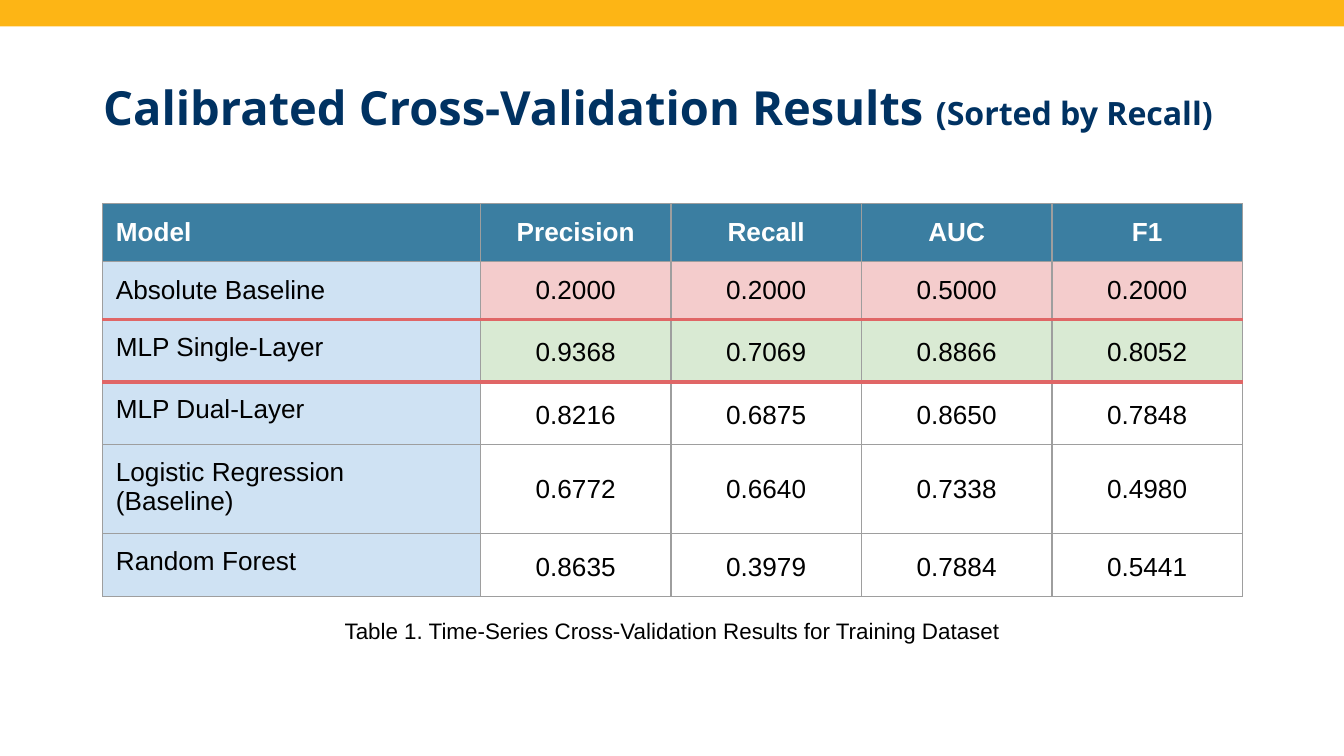
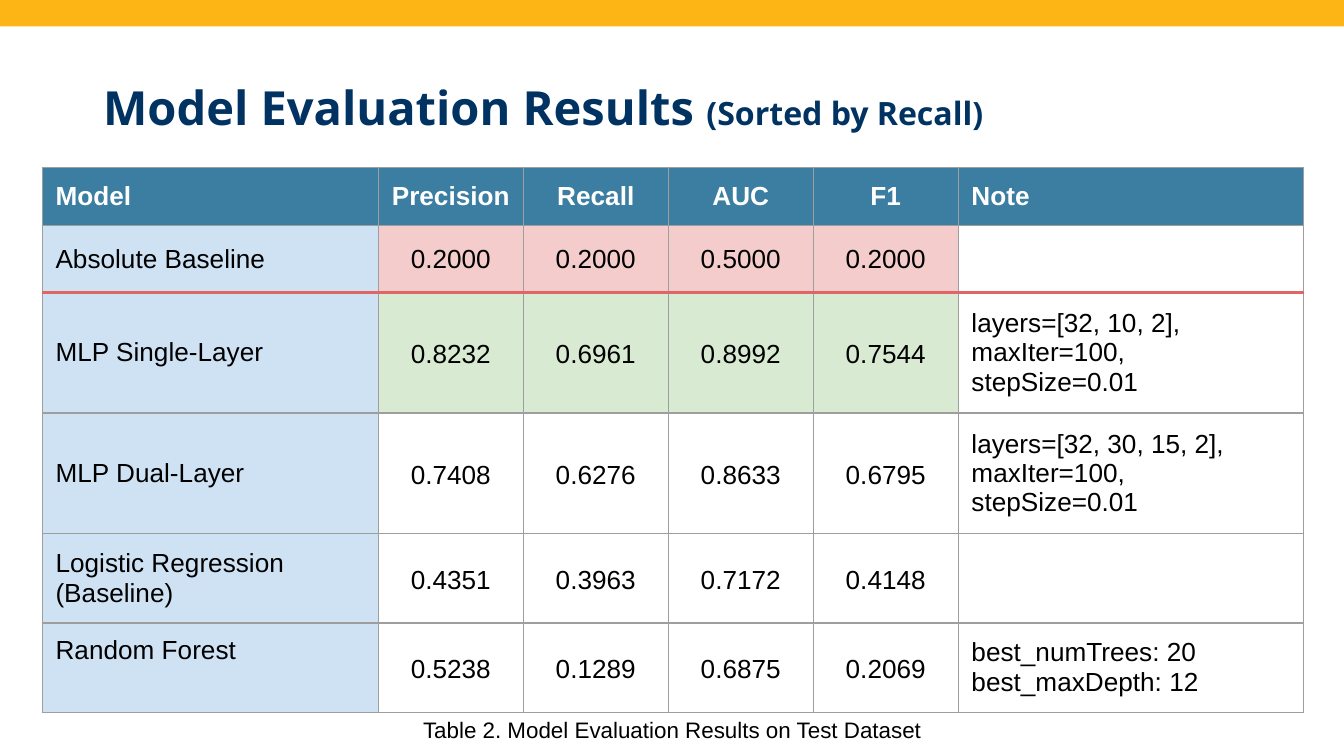
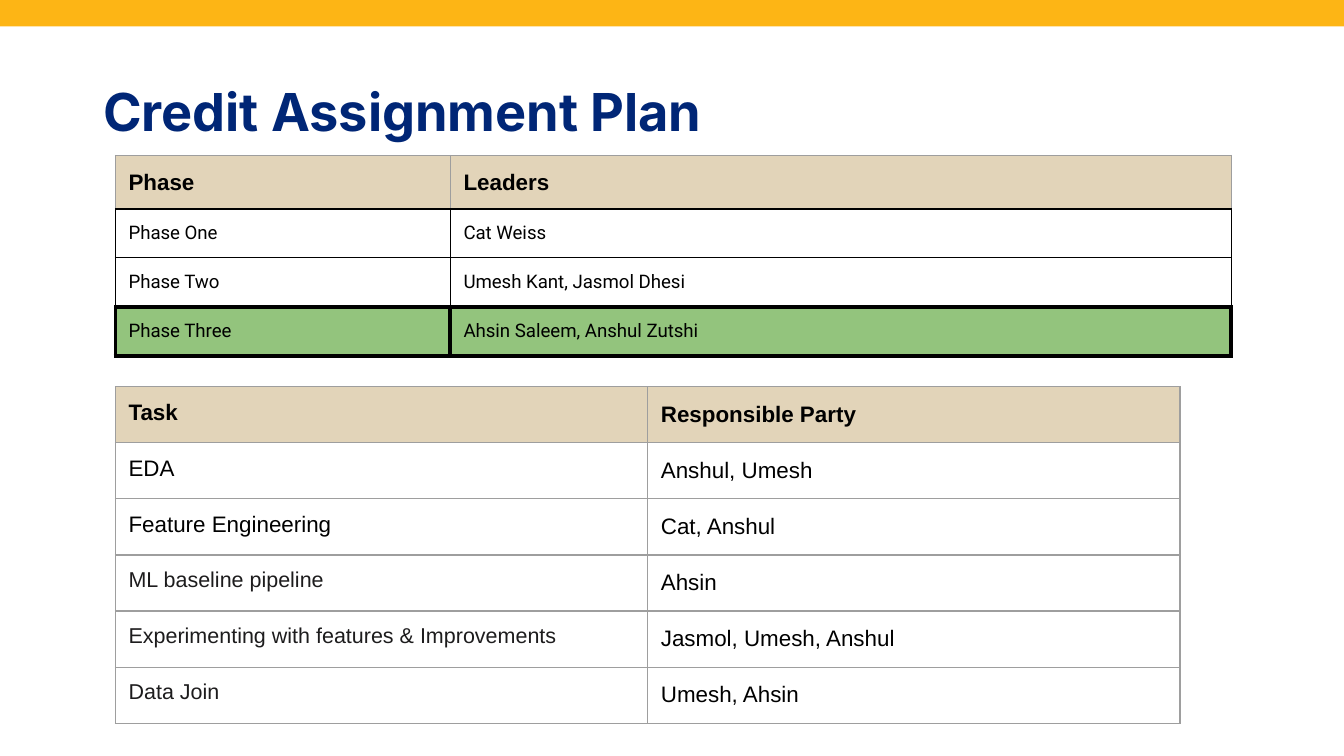
from lxml.etree import SubElement
from pptx import Presentation
from pptx.dml.color import RGBColor
from pptx.enum.shapes import MSO_SHAPE
from pptx.enum.text import MSO_ANCHOR, PP_ALIGN
from pptx.oxml.ns import qn
from pptx.util import Cm, Pt


def hue(code):
    return RGBColor.from_string(code)


def say(para, text, face, size, ink, bold=False):
    run = para.add_run()
    run.text = text
    font = run.font
    font.name, font.size, font.bold = face, Pt(size), bold
    font.color.rgb = hue(ink)


BLACK, WHITE, GOLD = "000000", "FFFFFF", "FDB515"
NAVY, ROYAL = "003262", "002676"
STEEL, PALE, PINK, MINT = "3B7EA1", "CFE2F3", "F4CCCC", "D9EAD3"
SAND, GREEN, INK = "E2D4B9", "93C47D", "1D1C1D"
GRAY = ("9E9E9E", 0.75)
RED = ("E06666", 2.25)
THIN = (BLACK, 0.75)
THICK = (BLACK, 2.25)
PAD = Cm(0.25)

titles = [
    [("Calibrated Cross-Validation Results ", "Open Sans", 25.2, NAVY),
     ("(Sorted by Recall)", "Open Sans", 17.2, NAVY)],
    [("Model Evaluation Results ", "Open Sans", 25.2, NAVY),
     ("(Sorted by Recall)", "Open Sans", 17.2, NAVY)],
    [("Credit Assignment Plan", "Inter", 28, ROYAL)],
]

notes = [
    (0, 11.46, "Table 1. Time-Series Cross-Validation Results for Training Dataset"),
    (1, 13.34, "Table 2. Model Evaluation Results on Test Dataset"),
]

# kind: label fill, other fill, face, size, ink, bold, line, spacing
kinds = {
    "head": (STEEL, STEEL, "Arial", 14, WHITE, True, GRAY, 1),
    "base": (PALE, PINK, "Arial", 14, BLACK, False, GRAY, 1),
    "best": (PALE, MINT, "Arial", 14, BLACK, False, GRAY, 1.15),
    "row": (PALE, None, "Arial", 14, BLACK, False, GRAY, 1.15),
    "flat": (PALE, None, "Arial", 14, BLACK, False, GRAY, 1),
    "top": (SAND, SAND, "Arial", 12, BLACK, True, GRAY, 1),
    "phase": (None, None, "Roboto", 10, BLACK, False, THIN, 1),
    "now": (GREEN, GREEN, "Roboto", 10, BLACK, False, THICK, 1),
    "task": (None, None, "Arial", 12, BLACK, False, GRAY, 1),
    "work": (None, None, "Arial", 12, BLACK, False, GRAY, 1),
}

tables = [
    (0, 1.94, 3.85, [7.14] + [3.6] * 4, {2, 3, 4, 5}, [
        ("head", 1.06, GRAY, ["Model", "Precision", "Recall", "AUC", "F1"]),
        ("base", 1.06, RED, ["Absolute Baseline", "0.2000", "0.2000", "0.5000", "0.2000"]),
        ("best", 1.14, RED, ["MLP Single-Layer", "0.9368", "0.7069", "0.8866", "0.8052"]),
        ("row", 1.14, GRAY, ["MLP Dual-Layer", "0.8216", "0.6875", "0.8650", "0.7848"]),
        ("flat", 1.62, GRAY, ["Logistic Regression (Baseline)", "0.6772", "0.6640", "0.7338", "0.4980"]),
        ("row", 1.14, GRAY, ["Random Forest", "0.8635", "0.3979", "0.7884", "0.5441"]),
    ]),
    (1, 0.8, 3.17, [6.35] + [2.74] * 4 + [6.52], {5}, [
        ("head", 1.06, GRAY, ["Model", "Precision", "Recall", "AUC", "F1", "Note"]),
        ("base", 1.22, RED, ["Absolute Baseline", "0.2000", "0.2000", "0.5000", "0.2000", ""]),
        ("best", 2.18, GRAY, ["MLP Single-Layer", "0.8232", "0.6961", "0.8992", "0.7544",
                              "layers=[32, 10, 2], maxIter=100, stepSize=0.01"]),
        ("row", 2.18, GRAY, ["MLP Dual-Layer", "0.7408", "0.6276", "0.8633", "0.6795",
                             "layers=[32, 30, 15, 2], maxIter=100, stepSize=0.01"]),
        ("row", 1.62, GRAY, ["Logistic Regression (Baseline)", "0.4351", "0.3963", "0.7172", "0.4148", ""]),
        ("row", 1.62, GRAY, ["Random Forest", "0.5238", "0.1289", "0.6875", "0.2069",
                             "best_numTrees: 20\nbest_maxDepth: 12"]),
    ]),
    (2, 2.18, 2.94, [6.33, 14.76], set(), [
        ("top", 0.98, THIN, ["Phase", "Leaders"]),
        ("phase", 0.92, THIN, ["Phase One", "Cat Weiss"]),
        ("phase", 0.92, THICK, ["Phase Two", "Umesh Kant, Jasmol Dhesi"]),
        ("now", 0.92, THICK, ["Phase Three", "Ahsin Saleem, Anshul Zutshi"]),
    ]),
    (2, 2.18, 7.31, [10.06] * 2, set(range(6)), [
        ("top", 1.06, GRAY, ["Task", "Responsible Party"]),
        ("task", 1.06, GRAY, ["EDA", "Anshul, Umesh"]),
        ("task", 1.06, GRAY, ["Feature Engineering", "Cat, Anshul"]),
        ("work", 1.06, GRAY, ["ML baseline pipeline", "Ahsin"]),
        ("work", 1.06, GRAY, ["Experimenting with features & Improvements", "Jasmol, Umesh, Anshul"]),
        ("work", 1.06, GRAY, ["Data Join", "Umesh, Ahsin"]),
    ]),
]

deck = Presentation()
deck.slide_width, deck.slide_height = Cm(25.4), Cm(14.29)
slides = []

for runs in titles:
    slide = deck.slides.add_slide(deck.slide_layouts[6])
    slides.append(slide)
    band = slide.shapes.add_shape(MSO_SHAPE.RECTANGLE, Cm(-0.02), 0, Cm(25.42), Cm(0.5))
    band.shadow.inherit = False
    band.fill.solid()
    band.fill.fore_color.rgb = hue(GOLD)
    band.line.fill.background()
    frame = slide.shapes.add_textbox(Cm(1.7), Cm(1.24), Cm(22.02), Cm(1.6)).text_frame
    frame.word_wrap = True
    frame.margin_left = frame.margin_right = frame.margin_top = frame.margin_bottom = PAD
    for text, face, size, ink in runs:
        say(frame.paragraphs[0], text, face, size, ink, True)

for page, x, y, cols, pins, rows in tables:
    high = sum(row[1] for row in rows)
    grid = slides[page].shapes.add_table(
        len(rows), len(cols), Cm(x), Cm(y), Cm(sum(cols)), Cm(high)).table
    grid.first_row = grid.horz_banding = False
    for col, wide in zip(grid.columns, cols):
        col.width = Cm(wide)
    above = GRAY
    for r, (kind, tall, below, texts) in enumerate(rows):
        grid.rows[r].height = Cm(tall)
        first, rest, face, size, ink, bold, side, space = kinds[kind]
        for c, text in enumerate(texts):
            cell = grid.cell(r, c)
            score = len(cols) > 2 and 0 < c < 5
            fill = first if c == 0 else rest
            if c == 5 and kind != "head":
                fill = None
            if fill:
                cell.fill.solid()
                cell.fill.fore_color.rgb = hue(fill)
            else:
                cell.fill.background()
            cell.margin_left = cell.margin_right = PAD
            cell.margin_top = cell.margin_bottom = PAD
            top = c == 0 and r in pins
            cell.vertical_anchor = MSO_ANCHOR.TOP if top else MSO_ANCHOR.MIDDLE
            small = kind == "work" and c == 0
            for n, line in enumerate(text.split("\n")):
                frame = cell.text_frame
                para = frame.add_paragraph() if n else frame.paragraphs[0]
                if score:
                    para.alignment = PP_ALIGN.CENTER
                    para.line_spacing = space
                if line:
                    say(para, line, face, 11.5 if small else size, INK if small else ink, bold)
            props = cell._tc.get_or_add_tcPr()
            edges = [("a:lnL", side), ("a:lnR", side), ("a:lnT", above), ("a:lnB", below)]
            for n, (tag, (tint, width)) in enumerate(edges):
                edge = SubElement(props, qn(tag), w=str(Pt(width)))
                SubElement(SubElement(edge, qn("a:solidFill")), qn("a:srgbClr"), val=tint)
                props.insert(n, edge)
        above = below

for page, y, text in notes:
    frame = slides[page].shapes.add_textbox(Cm(5.18), Cm(y), Cm(15.06), Cm(0.91)).text_frame
    frame.word_wrap = True
    frame.vertical_anchor = MSO_ANCHOR.MIDDLE
    frame.margin_left = frame.margin_right = frame.margin_top = frame.margin_bottom = PAD
    para = frame.paragraphs[0]
    para.alignment = PP_ALIGN.CENTER
    say(para, text, "Arial", 12, BLACK)

deck.save("out.pptx")
